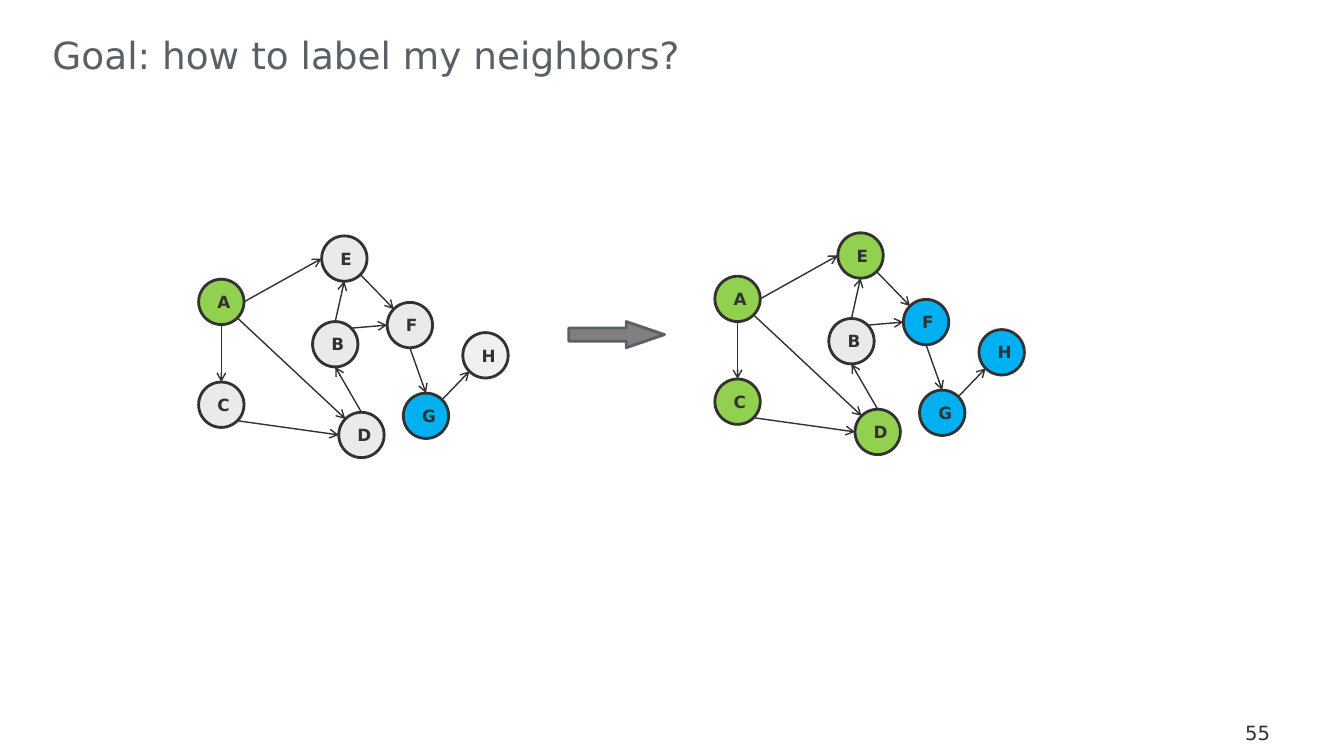
from dataclasses import dataclass
from math import cos, pi, sin

from lxml.etree import SubElement
from pptx import Presentation
from pptx.dml.color import RGBColor
from pptx.enum.shapes import MSO_CONNECTOR, MSO_SHAPE
from pptx.enum.text import MSO_ANCHOR, MSO_AUTO_SIZE, PP_ALIGN
from pptx.oxml.ns import qn
from pptx.util import Inches, Pt

TITLE = "Goal: how to label my neighbors?"
PAGE = "55"

NODES = {
    "A": (0, 0.43),
    "C": (0, 1.45),
    "B": (1.13, 0.85),
    "D": (1.39, 1.75),
    "E": (1.22, 0),
    "F": (1.87, 0.66),
    "G": (2.03, 1.56),
    "H": (2.62, 0.96),
}
SITES = ["top", "top left", "left", "bottom left",
         "bottom", "bottom right", "right", "top right"]
EDGES = [
    ("A", "bottom", "C", "top"),
    ("B", "top", "E", "bottom"),
    ("B", "top right", "F", "left"),
    ("E", "bottom right", "F", "top left"),
    ("C", "bottom right", "D", "left"),
    ("A", "bottom right", "D", "top left"),
    ("G", "top right", "H", "bottom left"),
    ("A", "right", "E", "left"),
    ("D", "top", "B", "bottom"),
    ("F", "bottom", "G", "top"),
]
GRAPHS = [
    {"origin": (1.97, 2.34), "fills": {"A": "green", "G": "blue", "H": "pale"}},
    {"origin": (7.09, 2.31), "fills": {**dict.fromkeys("ACDE", "green"),
                                       **dict.fromkeys("FGH", "blue")}},
]
NODE_SIZE = 0.45
WIDTH, HEIGHT = 13.33, 7.5


@dataclass(frozen=True)
class Theme:
    font: str = "DejaVu Sans"
    title: str = "5A6166"
    ink: str = "323232"
    arrow: str = "808080"
    green: str = "92D050"
    blue: str = "00B0F0"
    pale: str = "F0F0F0"
    plain: str = "EAEAEA"
    title_size: float = 26.7
    page_size: float = 14
    node_size: float = 12
    outline: float = 2
    edge: float = 1


theme = Theme()


def rgb(value):
    return RGBColor.from_string(value)


def write(tf, text, size, color, insets, anchor, align=PP_ALIGN.LEFT, bold=False):
    tf.word_wrap = True
    tf.vertical_anchor = anchor
    tf.margin_left, tf.margin_top, tf.margin_right, tf.margin_bottom = map(Inches, insets)
    p = tf.paragraphs[0]
    p.alignment = align
    r = p.add_run()
    r.text = text
    r.font.name = theme.font
    r.font.size = Pt(size)
    r.font.bold = bold
    r.font.color.rgb = rgb(color)


def add_filled(s, kind, box, fill, line):
    sp = s.shapes.add_shape(kind, *map(Inches, box))
    sp.shadow.inherit = False
    sp.fill.solid()
    sp.fill.fore_color.rgb = rgb(fill)
    sp.line.color.rgb = rgb(line)
    sp.line.width = Pt(theme.outline)
    return sp


def site_point(sp, site):
    angle = pi / 2 + SITES.index(site) * pi / 4
    radius = sp.width / 2
    return (round(sp.left + radius + radius * cos(angle)),
            round(sp.top + radius - radius * sin(angle)))


def add_edge(s, start, start_site, end, end_site):
    line = s.shapes.add_connector(
        MSO_CONNECTOR.STRAIGHT, *site_point(start, start_site), *site_point(end, end_site))
    line.line.color.rgb = rgb(theme.ink)
    line.line.width = Pt(theme.edge)
    SubElement(line.line._get_or_add_ln(), qn("a:tailEnd"), type="arrow")
    SubElement(line._element.spPr, qn("a:effectLst"))
    joints = line._element.find(".//" + qn("p:cNvCxnSpPr"))
    for tag, sp, site in (("a:stCxn", start, start_site), ("a:endCxn", end, end_site)):
        SubElement(joints, qn(tag), id=str(sp.shape_id), idx=str(SITES.index(site)))


def add_graph(s, origin, fills):
    circles = {}
    for name, (dx, dy) in NODES.items():
        box = (origin[0] + dx, origin[1] + dy, NODE_SIZE, NODE_SIZE)
        fill = getattr(theme, fills.get(name, "plain"))
        sp = add_filled(s, MSO_SHAPE.OVAL, box, fill, theme.ink)
        write(sp.text_frame, name, theme.node_size, theme.ink,
              (0.12, 0.08, 0.12, 0.08), MSO_ANCHOR.MIDDLE, PP_ALIGN.CENTER, True)
        circles[name] = sp
    for start, start_site, end, end_site in EDGES:
        add_edge(s, circles[start], start_site, circles[end], end_site)


def main():
    prs = Presentation()
    prs.slide_width, prs.slide_height = Inches(WIDTH), Inches(HEIGHT)
    s = prs.slides.add_slide(prs.slide_layouts[5])

    title = s.shapes.title
    title.left, title.top, title.width, title.height = map(Inches, (0.52, 0.16, 10.03, 0.61))
    write(title.text_frame, TITLE, theme.title_size, theme.title,
          (0, 0.16, 0, 0), MSO_ANCHOR.TOP)
    title.text_frame.auto_size = MSO_AUTO_SIZE.SHAPE_TO_FIT_TEXT

    page = s.shapes.add_textbox(*map(Inches, (WIDTH - 1.1, HEIGHT - 0.41, 0.84, 0.29)))
    write(page.text_frame, PAGE, theme.page_size, theme.ink,
          (0.12, 0, 0, 0), MSO_ANCHOR.BOTTOM)

    for graph in GRAPHS:
        add_graph(s, **graph)

    arrow = add_filled(s, MSO_SHAPE.RIGHT_ARROW, (5.64, 3.19, 0.95, 0.26),
                       theme.arrow, theme.title)
    arrow.adjustments[0] = 0.5
    arrow.adjustments[1] = 1.46

    prs.save("out.pptx")


if __name__ == "__main__":
    main()
